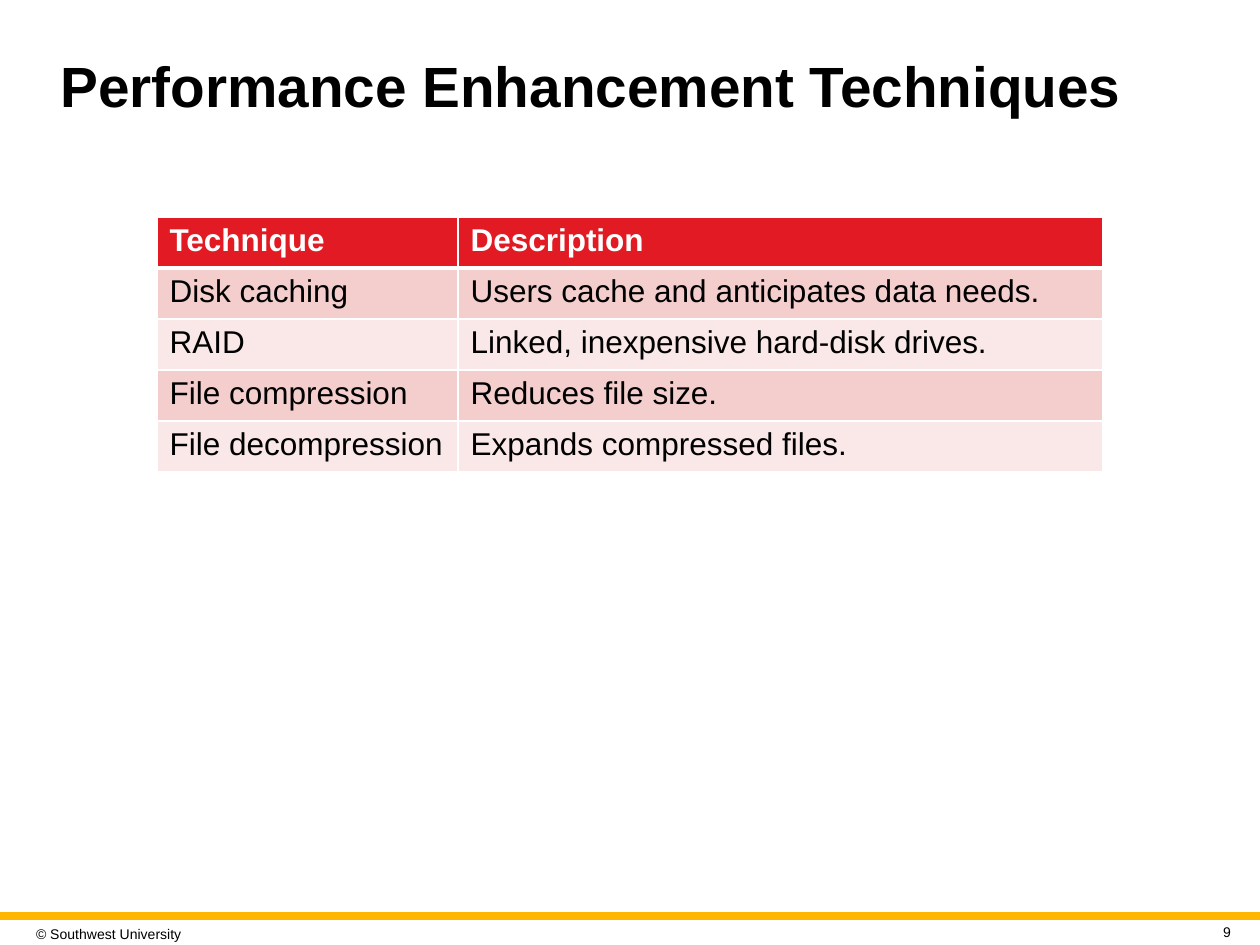
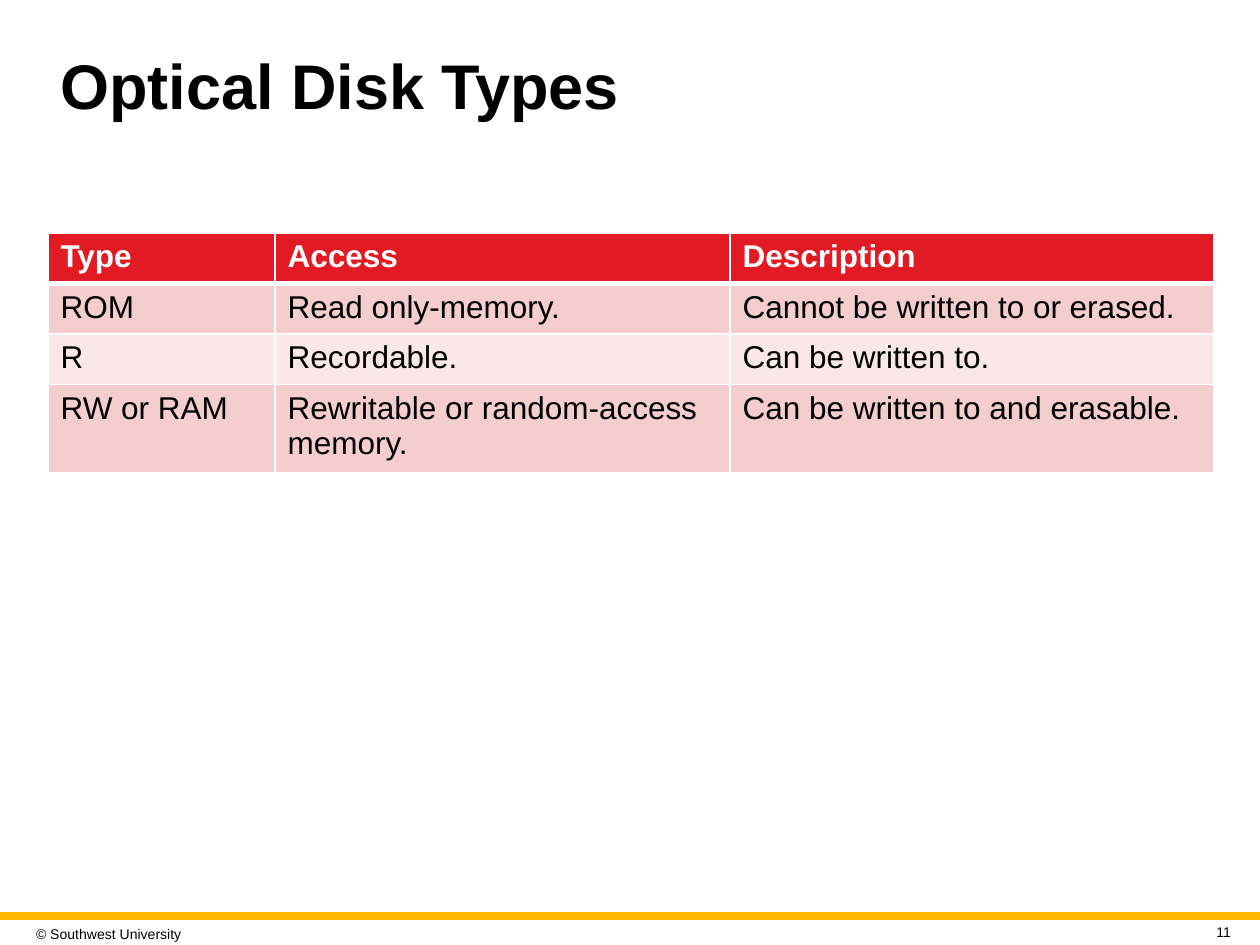
from lxml.etree import SubElement
from pptx import Presentation
from pptx.dml.color import RGBColor
from pptx.enum.shapes import MSO_SHAPE as Shape
from pptx.enum.text import MSO_ANCHOR as Anchor, PP_ALIGN as Align
from pptx.oxml.ns import qn
from pptx.util import Emu, Pt

PX_PER_INCH = 126
EMU_PER_PX = 914400 / PX_PER_INCH


def px(length):
    return Emu(round(length * EMU_PER_PX))


def color(value):
    return RGBColor.from_string(value)


def write(frame, text, size=18, ink="000000", bold=False, align=Align.LEFT, spacing=None):
    paragraph = frame.paragraphs[0]
    paragraph.alignment = align
    if spacing:
        paragraph.line_spacing = spacing
    run = paragraph.add_run()
    run.text = text
    run.font.name = "Arial"
    run.font.size = Pt(size)
    run.font.bold = bold
    run.font.color.rgb = color(ink)


class Deck:
    RED = "E21A23"
    GOLD = "FFB600"
    WHITE = "FFFFFF"
    STRIPES = ("F4CDCD", "FAE8E8")

    def __init__(self):
        self.presentation = Presentation()
        self.presentation.slide_width = px(1260)
        self.presentation.slide_height = px(945)
        self.slide = None

    def add_slide(self, title, number, title_size):
        self.slide = self.presentation.slides.add_slide(self.presentation.slide_layouts[6])
        self.band(0, 912, 1260, 8)
        self.text(30, 919, 170, 30, "© Southwest University", inset=6, size=8)
        self.text(48, 33, 1166, 113, title, size=title_size, bold=True, spacing=0.9)
        self.text(1188, 920, 49, 23, str(number), inset=6, size=8, align=Align.RIGHT)

    def band(self, left, top, width, height):
        shape = self.slide.shapes.add_shape(
            Shape.RECTANGLE, px(left), px(top), px(width), px(height))
        shape.shadow.inherit = False
        shape.fill.solid()
        shape.fill.fore_color.rgb = color(self.GOLD)
        shape.line.fill.background()

    def text(self, left, top, width, height, text, inset=None, **style):
        box = self.slide.shapes.add_textbox(px(left), px(top), px(width), px(height))
        frame = box.text_frame
        frame.word_wrap = True
        frame.vertical_anchor = Anchor.MIDDLE
        if inset is not None:
            frame.margin_left = frame.margin_right = px(inset)
            frame.margin_top = frame.margin_bottom = px(inset)
        write(frame, text, **style)

    def border(self, cell, side, points):
        properties = cell._tc.get_or_add_tcPr()
        line = SubElement(properties, qn(f"a:ln{side}"), w=str(Pt(points)))
        fill = SubElement(line, qn("a:solidFill"))
        SubElement(fill, qn("a:srgbClr"), val=self.WHITE)

    def table(self, left, top, widths, heights, rows):
        table = self.slide.shapes.add_table(
            len(rows), len(widths), px(left), px(top), px(sum(widths)), px(sum(heights))).table
        for column, width in zip(table.columns, widths):
            column.width = px(width)
        for index, (row, height, texts) in enumerate(zip(table.rows, heights, rows)):
            row.height = px(height)
            header = index == 0
            fill = self.RED if header else self.STRIPES[(index - 1) % 2]
            edges = {"L": 1, "R": 1, "T": 3 if index == 1 else 1, "B": 3 if header else 1}
            for cell, text in zip(row.cells, texts):
                for side, points in edges.items():
                    self.border(cell, side, points)
                cell.fill.solid()
                cell.fill.fore_color.rgb = color(fill)
                write(cell.text_frame, text, bold=header,
                      ink=self.WHITE if header else "000000")


def main():
    deck = Deck()

    deck.add_slide("Performance Enhancement Techniques", 9, title_size=32.4)
    deck.table(157, 217, (301, 645), [51] * 5, (
        ("Technique", "Description"),
        ("Disk caching", "Users cache and anticipates data needs."),
        ("RAID", "Linked, inexpensive hard-disk drives."),
        ("File compression", "Reduces file size."),
        ("File decompression", "Expands compressed files."),
    ))

    deck.add_slide("Optical Disk Types", 11, title_size=36)
    deck.table(48, 233, (227, 455, 484), (48, 48, 48, 82), (
        ("Type", "Access", "Description"),
        ("ROM", "Read only-memory.", "Cannot be written to or erased."),
        ("R", "Recordable.", "Can be written to."),
        ("RW or RAM", "Rewritable or random-access memory.", "Can be written to and erasable."),
    ))

    deck.presentation.save("out.pptx")


if __name__ == "__main__":
    main()
